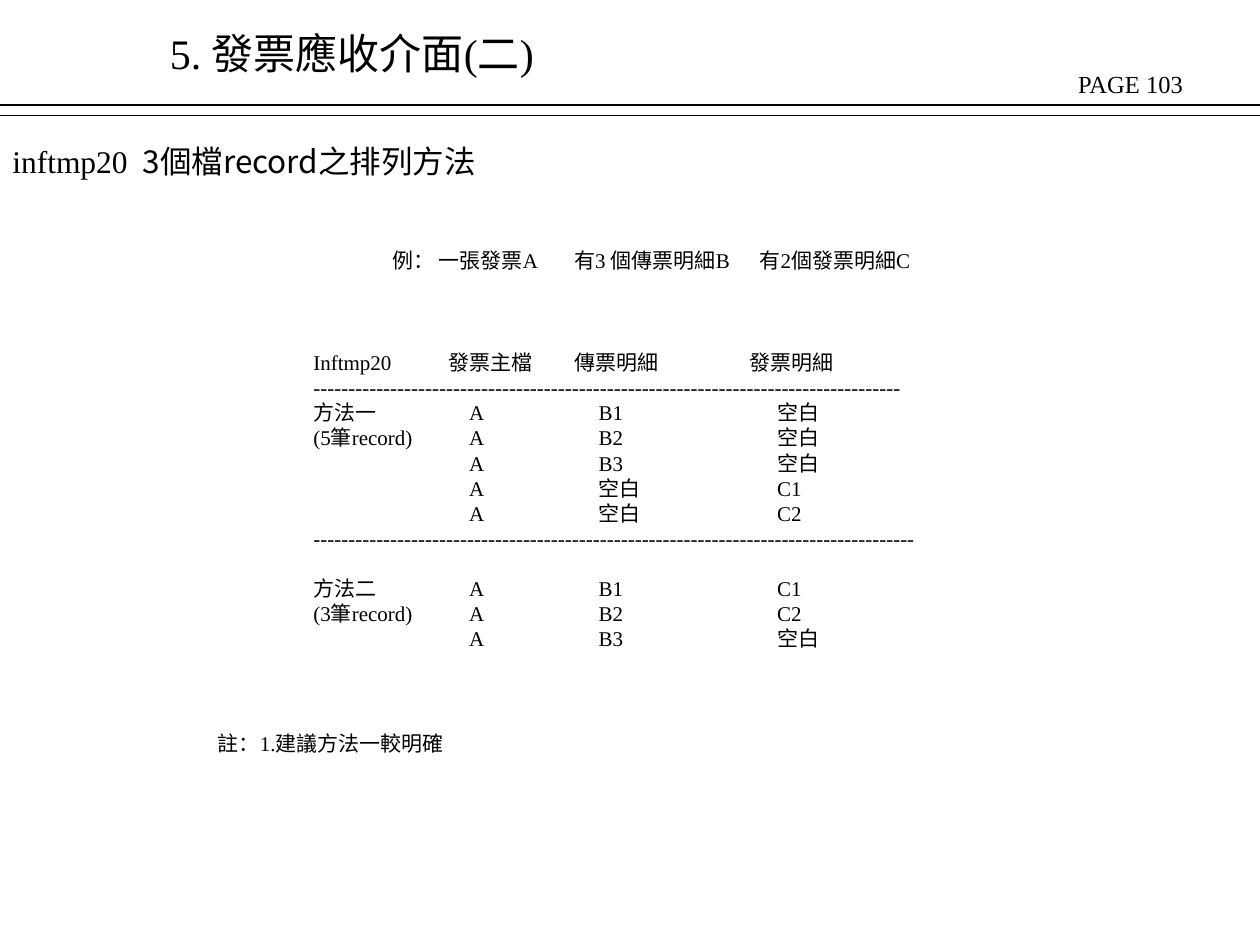
from dataclasses import dataclass

from lxml import etree
from pptx import Presentation
from pptx.dml.color import RGBColor
from pptx.enum import shapes, text
from pptx.oxml import ns
from pptx.util import Pt


@dataclass(frozen=True)
class Theme:
    ink: RGBColor = RGBColor(0, 0, 0)
    serif: str = "Times New Roman"
    sans: str = "Noto Sans CJK TC"
    title: int = 24
    subtitle: int = 18
    page: int = 14
    body: int = 12
    rule: float = 0.75


THEME = Theme()
EXAMPLE_TABS = (45, 149, 255)
HEADER_TABS = (77, 149, 249)
ROW_TABS = (89, 163, 265)


def add_text_box(slide, left, top, width, height):
    shape = slide.shapes.add_textbox(Pt(left), Pt(top), Pt(width), Pt(height))
    shape.text_frame.word_wrap = True
    shape.text_frame.vertical_anchor = text.MSO_ANCHOR.TOP
    return shape.text_frame


def set_tabs(paragraph, positions):
    properties = paragraph._p.get_or_add_pPr()
    tab_list = etree.SubElement(properties, ns.qn("a:tabLst"))
    for position in positions:
        etree.SubElement(tab_list, ns.qn("a:tab"), pos=str(Pt(position)), algn="l")


def style(font, size, name=THEME.serif):
    font.size = Pt(size)
    font.name = name
    font.color.rgb = THEME.ink


def write(paragraph, content, size, tabs=(), space_before=0):
    paragraph.add_run().text = content
    if tabs:
        set_tabs(paragraph, tabs)
    if space_before:
        paragraph.space_before = Pt(space_before)
    style(paragraph.font, size)


def add_label(slide, content, size, left, top, width, height):
    frame = add_text_box(slide, left, top, width, height)
    write(frame.paragraphs[0], content, size)


def add_rule(slide, top, width):
    line = slide.shapes.add_connector(
        shapes.MSO_CONNECTOR.STRAIGHT, 0, Pt(top), width, Pt(top)
    )
    line.line.color.rgb = THEME.ink
    line.line.width = Pt(THEME.rule)
    etree.SubElement(line._element.spPr, ns.qn("a:effectLst"))


def add_subtitle(slide):
    paragraph = add_text_box(slide, 0, 77.8, 302, 29).paragraphs[0]
    set_tabs(paragraph, (74.5,))
    for content, name in (
        ("inftmp20\t", THEME.serif),
        ("3個檔record之排列方法", THEME.sans),
    ):
        run = paragraph.add_run()
        run.text = content
        style(run.font, THEME.subtitle, name)


def add_record_listing(slide):
    lines = [
        (("", "例： 一張發票A", "有3 個傳票明細B", "有2個發票明細C"), EXAMPLE_TABS, 0),
        (("Inftmp20", "發票主檔", "傳票明細", "發票明細"), HEADER_TABS, 43.5),
        (("-" * 84,), (), 0),
        (("方法一", "A", "B1", "空白"), ROW_TABS, 0),
        (("(5筆record)", "A", "B2", "空白"), ROW_TABS, 0),
        (("", "A", "B3", "空白"), ROW_TABS, 0),
        (("", "A", "空白", "C1"), ROW_TABS, 0),
        (("", "A", "空白", "C2"), ROW_TABS, 0),
        (("-" * 86,), (), 0),
        (("方法二", "A", "B1", "C1"), ROW_TABS, 14),
        (("(3筆record)", "A", "B2", "C2"), ROW_TABS, 0),
        (("", "A", "B3", "空白"), ROW_TABS, 0),
    ]
    frame = add_text_box(slide, 172, 138.2, 375, 309.6)
    for index, (cells, tabs, space_before) in enumerate(lines):
        paragraph = frame.add_paragraph() if index else frame.paragraphs[0]
        write(paragraph, "\t".join(cells), THEME.body, tabs, space_before)


def main():
    presentation = Presentation()
    presentation.slide_width, presentation.slide_height = Pt(720), Pt(540)
    slide = presentation.slides.add_slide(presentation.slide_layouts[6])
    add_label(slide, "PAGE 103", THEME.page, 609, 36, 111, 24.5)
    add_label(slide, "5. 發票應收介面(二)", THEME.title, 90, 12.2, 546, 36)
    for top in (60, 66):
        add_rule(slide, top, presentation.slide_width)
    add_record_listing(slide)
    add_label(slide, "註：1.建議方法一較明確", THEME.body, 117.4, 414, 149, 36)
    add_subtitle(slide)
    presentation.save("out.pptx")


if __name__ == "__main__":
    main()
